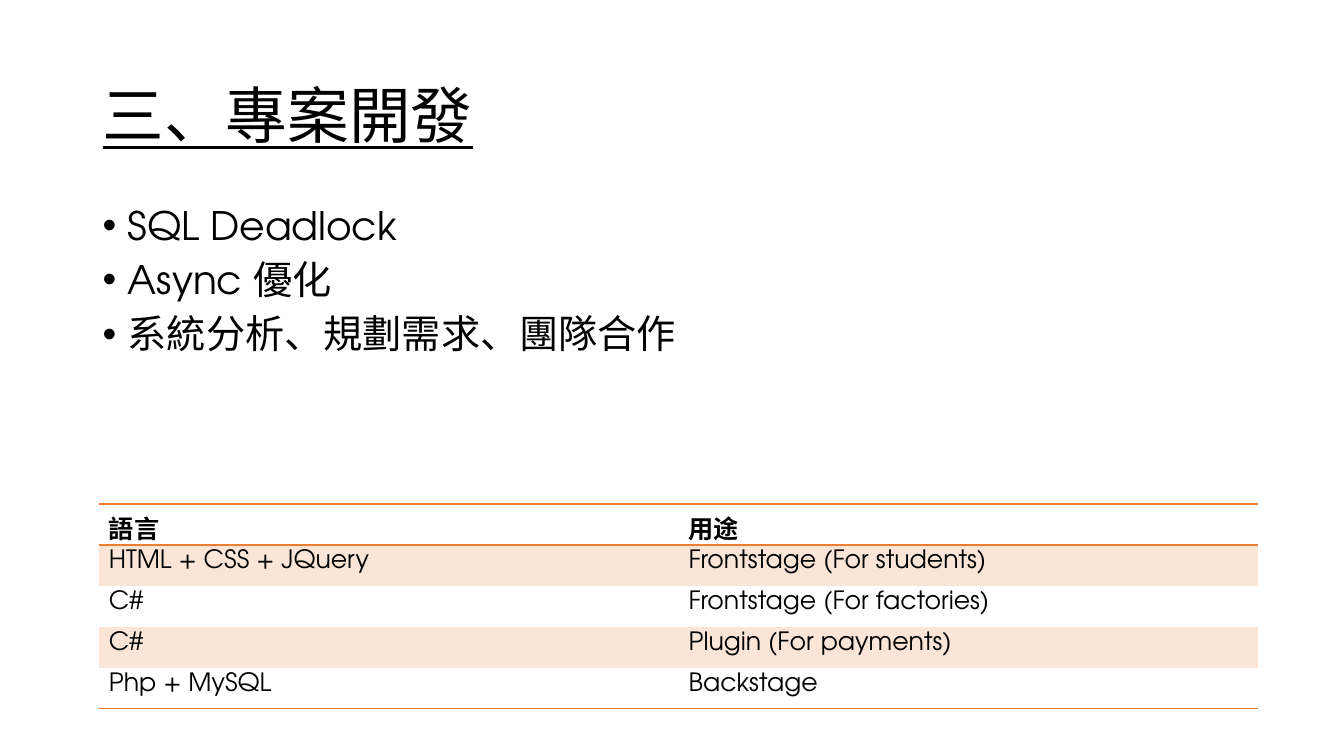
from pptx import Presentation
from pptx.dml.color import RGBColor
from pptx.enum.text import MSO_ANCHOR
from pptx.oxml import parse_xml
from pptx.oxml.ns import nsdecls, qn
from pptx.util import Inches, Pt

LATIN, HAN, TITLE = "TeX Gyre Adventor", "Noto Sans CJK SC", "Noto Sans CJK TC"
BLACK, ORANGE, PALE = "000000", "ED7D31", "FBE5D6"
WIDE, HIGH = 13.33, 7.5


def color(code):
    return RGBColor.from_string(code)


def node(text):
    return parse_xml(text.replace(" NS", " " + nsdecls("a"), 1))


class Page:
    """Slide with one text style; places are shares of its size."""

    def __init__(self, deck):
        self.slide = deck.slides.add_slide(deck.slide_layouts[6])
        self.size = deck.slide_width, deck.slide_height

    def place(self, *box):
        return [round(part * self.size[i % 2]) for i, part in enumerate(box)]

    def label(self, para, text, face=LATIN, **form):
        run = para.add_run()
        run.text = text
        for key, value in {"name": face, **form}.items():
            setattr(run.font, key, value)
        run.font.color.rgb = color(BLACK)
        han = TITLE if face == TITLE else HAN
        latin = run._r.rPr.find(qn("a:latin"))
        latin.addnext(node(f'<a:ea NS typeface="{han}"/>'))

    def frame(self, box, anchor=MSO_ANCHOR.TOP):
        frame = self.slide.shapes.add_textbox(*self.place(*box)).text_frame
        frame.word_wrap = True
        frame.vertical_anchor = anchor
        return frame

    def title(self, box, text):
        para = self.frame(box, MSO_ANCHOR.MIDDLE).paragraphs[0]
        self.label(para, text, TITLE, size=Pt(44), underline=True)

    def bullets(self, box, items):
        frame = self.frame(box)
        for i, item in enumerate(items):
            para = frame.add_paragraph() if i else frame.paragraphs[0]
            para.line_spacing = 0.9
            props = para._p.get_or_add_pPr()
            props.set("marL", str(Inches(0.25)))
            props.set("indent", str(-Inches(0.25)))
            if i:
                props.append(node('<a:spcBef NS><a:spcPct val="30000"/></a:spcBef>'))
            props.append(node('<a:buFont NS typeface="Arial"/>'))
            props.append(node('<a:buChar NS char="•"/>'))
            for text, face in item:
                self.label(para, text, face, size=Pt(28))

    def edge(self, cell, *sides):
        props = cell._tc.get_or_add_tcPr()
        for i, side in enumerate(sides):
            props.insert(i, node(
                f'<a:{side} NS w="{Pt(1)}"><a:solidFill>'
                f'<a:srgbClr val="{ORANGE}"/></a:solidFill></a:{side}>'))

    def table(self, box, rows):
        shape = self.slide.shapes.add_table(
            len(rows), len(rows[0]), *self.place(*box))
        grid = shape.table
        grid.horz_banding = False
        # Plain style without grid lines
        style = grid._tbl.tblPr.find(qn("a:tableStyleId"))
        style.text = "{2D5ABB26-0587-4C30-8999-92F81FD0307C}"
        for r, row in enumerate(rows):
            for c, text in enumerate(row):
                cell = grid.cell(r, c)
                self.label(cell.text_frame.paragraphs[0], text,
                           size=Pt(18), bold=r == 0)
                # Odd body rows are tinted
                if r % 2:
                    cell.fill.solid()
                    cell.fill.fore_color.rgb = color(PALE)
                else:
                    cell.fill.background()
                if r == 0:
                    self.edge(cell, "lnT", "lnB")
                elif r == len(rows) - 1:
                    self.edge(cell, "lnB")


def main():
    deck = Presentation()
    deck.slide_width, deck.slide_height = Inches(WIDE), Inches(HIGH)
    page = Page(deck)
    left, span = 0.92 / WIDE, 11.5 / WIDE

    # Heading
    page.title((left, 0.4 / HIGH, span, 1.45 / HIGH), "三、專案開發")

    # Languages and their uses
    page.table((0.98 / WIDE, 5 / HIGH, span, 2.03 / HIGH), [
        ("語言", "用途"),
        ("HTML + CSS + JQuery", "Frontstage (For students)"),
        ("C#", "Frontstage (For factories)"),
        ("C#", "Plugin (For payments)"),
        ("Php + MySQL", "Backstage"),
    ])

    # Topics
    page.bullets((left, 2 / HIGH, span, 2.74 / HIGH), [
        [("SQL Deadlock", LATIN)],
        [("Async ", LATIN), ("優化", HAN)],
        [("系統分析、規劃需求、團隊合作", HAN)],
    ])
    deck.save("out.pptx")


if __name__ == "__main__":
    main()
